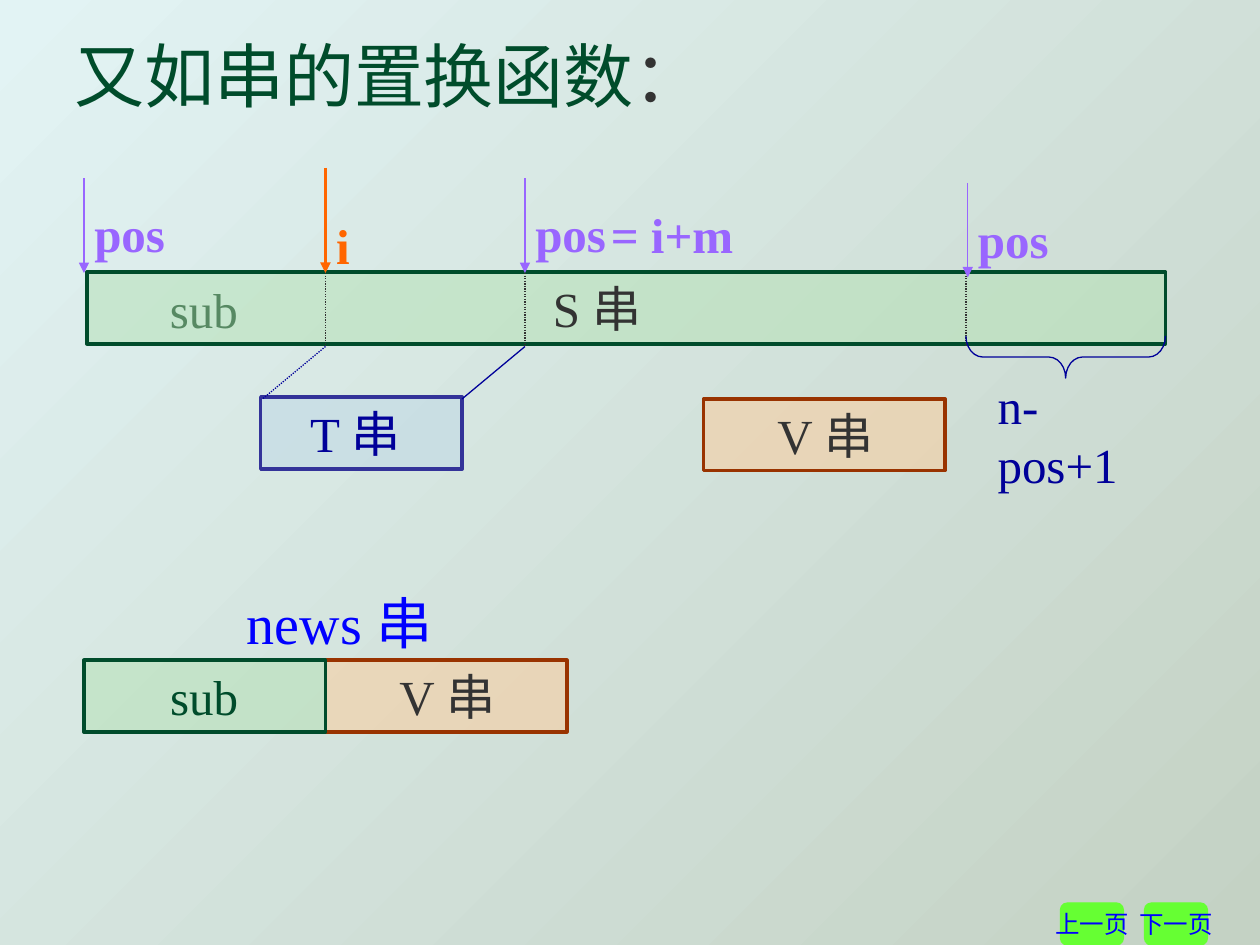
"""Build the slide on the string replacement function."""
from lxml.etree import SubElement
from pptx import Presentation
from pptx.dml.color import RGBColor
from pptx.enum.dml import MSO_LINE
from pptx.enum.shapes import MSO_CONNECTOR, MSO_SHAPE
from pptx.enum.text import MSO_ANCHOR as Anchor, MSO_AUTO_SIZE as AutoSize, PP_ALIGN as Align
from pptx.oxml.ns import qn
from pptx.util import Pt

COLORS = {
    "ink": "333333", "green": "004C2B", "pale_green": "B3E1B3", "dim_green": "578963",
    "navy": "000099", "indigo": "333399", "pale_blue": "BDD7E5", "blue": "0000FF",
    "brown": "993300", "peach": "FFCC99", "violet": "9966FF", "orange": "FF6600",
    "button": "66FF33", "shade": "C4D2C4", "light": "E2F3F4",
}


def rgb(name):
    return RGBColor.from_string(COLORS[name])


def apply(target, values):
    for name, value in values.items():
        setattr(target, name, value)


class SlideBuilder:
    """Hold the text style and the slide being built."""

    face = "Times New Roman"
    size = 28

    def __init__(self, slide):
        self.slide = slide

    def background(self, start, end):
        fill = self.slide.background.fill
        fill.gradient()
        fill.gradient_angle = 135
        for stop, color, position in zip(fill.gradient_stops, (start, end), (0, 1)):
            stop.color.rgb = rgb(color)
            stop.position = position

    def place(self, shape, left, top, width, height):
        apply(shape, {"left": Pt(left), "top": Pt(top), "width": Pt(width), "height": Pt(height)})

    def set_text(self, frame, spans, size=None, bold=False, align=Align.LEFT, **layout):
        apply(frame, {"vertical_anchor": Anchor.TOP, "word_wrap": False,
                      "auto_size": AutoSize.NONE, **layout})
        para = frame.paragraphs[0]
        para.alignment = align
        for text, color in spans:
            span = para.add_run()
            span.text = text
            apply(span.font, {"name": self.face, "size": Pt(size or self.size), "bold": bold})
            span.font.color.rgb = rgb(color)

    def title(self, spans, *bounds):
        title = self.slide.shapes.title
        self.place(title, *bounds)
        self.set_text(title.text_frame, spans, size=40)

    def shape(self, kind, bounds, line, weight, fill=None):
        shape = self.slide.shapes.add_shape(kind, *map(Pt, bounds))
        shape.shadow.inherit = False
        shape.line.color.rgb = rgb(line)
        shape.line.width = Pt(weight)
        if fill:
            shape.fill.solid()
            shape.fill.fore_color.rgb = rgb(fill)
        else:
            shape.fill.background()
        return shape

    def string_box(self, text, color, left, top, width, fill, line, indent):
        box = self.shape(MSO_SHAPE.RECTANGLE, (left, top, width, 41), line, 2, fill)
        tint = box._element.spPr.find(qn("a:solidFill"))[0]
        SubElement(tint, qn("a:alpha"), val="50000")
        self.set_text(box.text_frame, [(text, color)], word_wrap=True, margin_left=Pt(7.2 + indent))

    def button(self, text, left):
        box = self.shape(MSO_SHAPE.ROUNDED_RECTANGLE, (left, 516, 36, 24), "button", 0.75, "button")
        self.set_text(box.text_frame, [(text, "blue")], size=14, align=Align.CENTER,
                      vertical_anchor=Anchor.MIDDLE)

    def label(self, text, color, left, top, width, height=41, **style):
        box = self.slide.shapes.add_textbox(*map(Pt, (left, top, width, height)))
        self.set_text(box.text_frame, [(text, color)], auto_size=AutoSize.SHAPE_TO_FIT_TEXT, **style)

    def line(self, start, end, color, weight=0.75, dotted=False, arrow=False):
        line = self.slide.shapes.add_connector(MSO_CONNECTOR.STRAIGHT, *map(Pt, start + end))
        line.line.color.rgb = rgb(color)
        line.line.width = Pt(weight)
        if dotted:
            line.line.dash_style = MSO_LINE.ROUND_DOT
        properties = line._element.spPr
        if arrow:
            SubElement(properties.find(qn("a:ln")), qn("a:tailEnd"), type="triangle")
        SubElement(properties, qn("a:effectLst"))

    def brace(self, *bounds):
        brace = self.shape(MSO_SHAPE.LEFT_BRACE, bounds, "navy", 0.75)
        brace.rotation = 270
        brace.adjustments[0] = 0.4


def main():
    deck = Presentation()
    deck.slide_width, deck.slide_height = Pt(720), Pt(540)
    page = SlideBuilder(deck.slides.add_slide(deck.slide_layouts[5]))
    page.background("shade", "light")
    page.title([("又如串的置换函数", "green"), ("：", "ink")], 35.3, 15.1, 373.7, 55.4)
    page.button("下一页", 654)
    page.button("上一页", 606)

    first, match, after, last = 48, 186, 300, 552
    top, bottom = 156, 198
    page.string_box("S 串", "ink", 49.7, 155.5, 616.3, "pale_green", "green", 259)
    page.string_box("T 串", "navy", 149, 227, 115.2, "pale_blue", "indigo", 21)
    for left, box_top in ((402, 228), (match, 377.3)):
        page.string_box("V 串", "ink", left, box_top, 138, "peach", "brown", 35)
    page.string_box("sub", "green", first, 377.3, 138, "pale_green", "green", 42)

    for cut in (match, after, last):
        page.line((cut, top), (cut, bottom), "ink", dotted=True)
    page.line((match, bottom), (150, 228), "navy", dotted=True)
    page.line((after, bottom), (264, 228), "navy")

    for left, arrow_top, label_top in ((first, 102, 113), (after, 102, 113), (553, 104.5, 116)):
        page.line((left, arrow_top), (left, arrow_top + 54), "violet", arrow=True)
        page.label("pos", "violet", left - 1.2, label_top, 54.7, bold=True)
    page.line((match, 96), (match, top), "orange", weight=2, arrow=True)
    page.label("i", "orange", 185, 119.5, 22.3, bold=True)
    page.label("= i+m", "violet", 342, 113.5, 84.2, bold=True)

    page.label("sub", "dim_green", 90, top, 53.3)
    page.label("news 串", "blue", 134, 332.6, 128.2, 46, size=32)
    page.brace(597, 147, 24, 114)
    page.label("n-pos+1", "navy", 563, 211, 105.8)
    deck.save("out.pptx")


if __name__ == "__main__":
    main()
